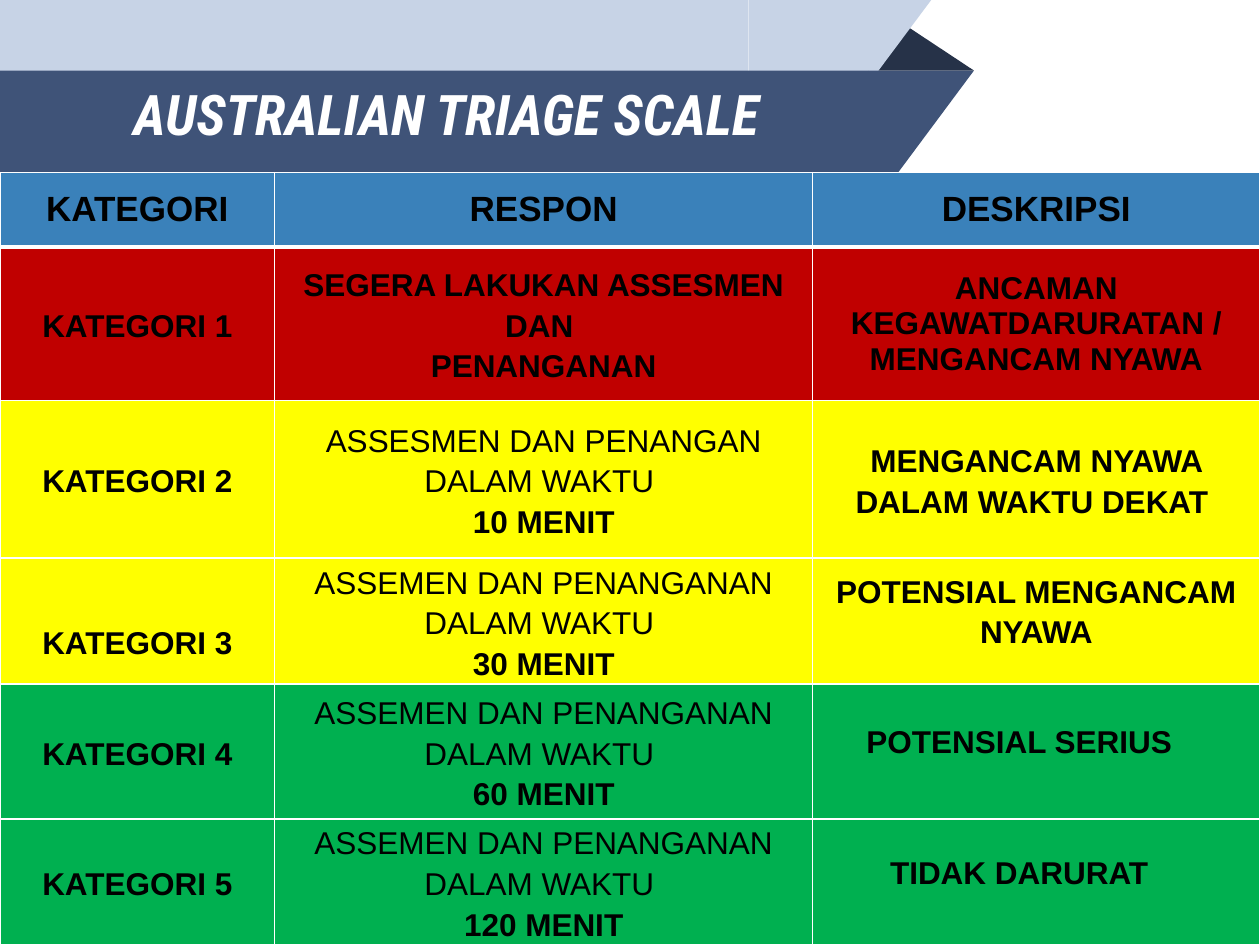
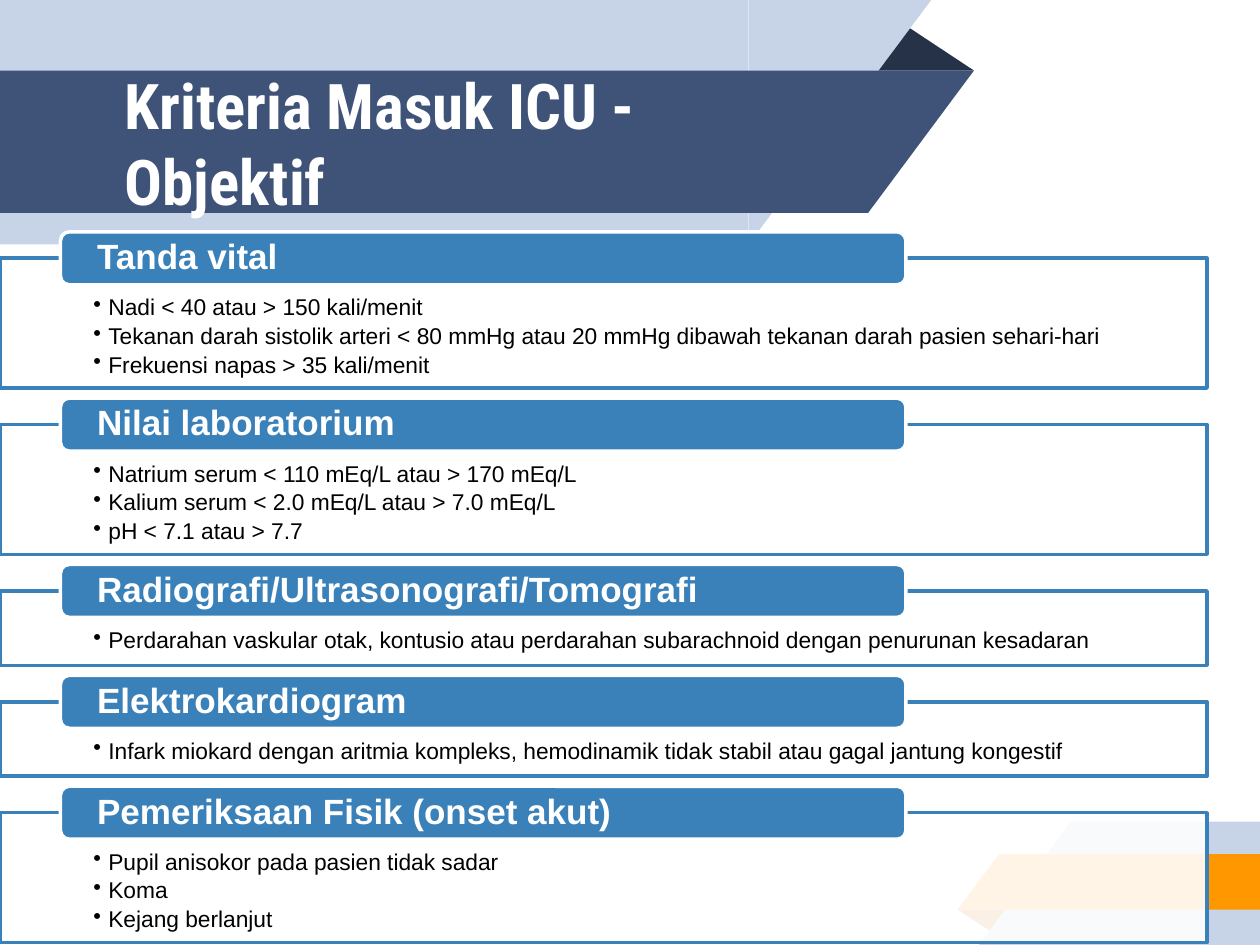
from pptx import Presentation
from pptx.dml.color import RGBColor
from pptx.enum.shapes import MSO_SHAPE
from pptx.enum.text import MSO_ANCHOR, MSO_AUTO_SIZE, PP_ALIGN
from pptx.oxml import parse_xml
from pptx.oxml.ns import nsdecls, qn
from pptx.util import Pt

PX = 9144  # EMU per px, 100 px to the inch

WHITE = RGBColor(0xFF, 0xFF, 0xFF)
BLACK = RGBColor(0x00, 0x00, 0x00)
PALE = RGBColor(0xC7, 0xD3, 0xE6)
NAVY = RGBColor(0x3F, 0x53, 0x78)
MIDNIGHT = RGBColor(0x26, 0x32, 0x48)
ORANGE = RGBColor(0xFF, 0x98, 0x00)
RUST = RGBColor(0xD2, 0x6F, 0x00)
BLUE = RGBColor(0x3A, 0x81, 0xBA)
RED = RGBColor(0xC0, 0x00, 0x00)
YELLOW = RGBColor(0xFF, 0xFF, 0x00)
GREEN = RGBColor(0x00, 0xB0, 0x50)

RECT, WEDGE = MSO_SHAPE.RECTANGLE, MSO_SHAPE.RIGHT_TRIANGLE
FOLD = MSO_SHAPE.ISOSCELES_TRIANGLE

# kind, box, colour, rotation, mirrored
BANDS = [
    (FOLD, (688, 18, 85, 38), MIDNIGHT, 0, False),
    (RECT, (0, 0, 594, 194), PALE, 180, True),
    (WEDGE, (594, 0, 145, 194), PALE, 180, True),
    (RECT, (0, 56, 689, 113), NAVY, 180, True),
    (WEDGE, (689, 56, 84, 113), NAVY, 180, True),
    (FOLD, (760, 722, 43, 19), RUST, 180, False),
    (RECT, (850, 652, 150, 98), PALE, 0, True),
    (WEDGE, (777, 652, 73, 98), PALE, 0, True),
    (RECT, (793, 678, 208, 44), ORANGE, 0, True),
    (WEDGE, (760, 678, 33, 44), ORANGE, 0, True),
]


def assign(target, formats):
    for attribute, value in formats.items():
        setattr(target, attribute, value)


def emu(*lengths):
    return [length * PX for length in lengths]


def margins(left, top, right, bottom):
    sides = ("margin_left", "margin_top", "margin_right", "margin_bottom")
    return dict(zip(sides, emu(left, top, right, bottom)))


class Deck:
    """Holds the presentation, its text styles and the slide being built."""

    styles = {
        "title": ({"name": "Roboto Condensed", "size": Pt(36), "bold": True}, WHITE),
        "header": ({"name": "Arial", "size": Pt(20), "bold": True}, BLACK),
        "cell": ({"name": "Arial", "size": Pt(18), "bold": True}, BLACK),
        "tab": ({"name": "Arial", "size": Pt(20), "bold": True}, WHITE),
        "item": ({"name": "Arial", "size": Pt(13), "bold": False}, BLACK),
    }

    def __init__(self):
        self.prs = Presentation()
        self.prs.slide_width, self.prs.slide_height = emu(1000, 750)
        self.slide = None

    def add_text(self, paragraph, text, style, paragraph_format=None, **font_changes):
        fonts, colour = self.styles[style]
        assign(paragraph, paragraph_format or {})
        run = paragraph.add_run()
        run.text = text
        assign(run.font, {**fonts, **font_changes})
        run.font.color.rgb = colour

    def paragraphs(self, frame, count):
        return [frame.paragraphs[0]] + [frame.add_paragraph() for _ in range(count - 1)]

    def shape(self, kind, box, fill, line=None):
        shape = self.slide.shapes.add_shape(kind, *emu(*box))
        shape.shadow.inherit = False
        shape.fill.solid()
        shape.fill.fore_color.rgb = fill
        if line is None:
            shape.line.fill.background()
        else:
            shape.line.color.rgb = line
            shape.line.width = Pt(2)
        return shape

    def new_slide(self, title, box, insets=(10, 10, 10, 10), align=PP_ALIGN.LEFT, **font_changes):
        self.slide = self.prs.slides.add_slide(self.prs.slide_layouts[5])
        for kind, place, colour, rotation, mirrored in BANDS:
            band = self.shape(kind, place, colour)
            band.rotation = rotation
            if kind == FOLD:
                band.adjustments[0] = 0.324
            if mirrored:
                band._element.spPr.find(qn("a:xfrm")).set("flipH", "1")
        heading = self.slide.shapes.title
        assign(heading, dict(zip(("left", "top", "width", "height"), emu(*box))))
        frame = heading.text_frame
        assign(frame, {"word_wrap": True, "auto_size": MSO_AUTO_SIZE.NONE,
                       "vertical_anchor": MSO_ANCHOR.MIDDLE, **margins(*insets)})
        self.add_text(frame.paragraphs[0], title, "title", {"alignment": align}, **font_changes)
        self.slide.shapes._spTree.append(heading._element)  # in front of the bands

    def table(self, box, widths, heights):
        table = self.slide.shapes.add_table(len(heights), len(widths), *emu(*box)).table
        table.horz_banding = False
        for column, width in zip(table.columns, emu(*widths)):
            column.width = width
        for row, height in zip(table.rows, emu(*heights)):
            row.height = height
        return table

    def cell(self, cell, lines, style, fill, spacing, insets, top=1, bottom=1):
        """Fill one cell; lines are (text, bold) pairs, top and bottom are border points."""
        properties = cell._tc.get_or_add_tcPr()
        for side, points in zip("LRTB", (1, 1, top, bottom)):
            properties.append(parse_xml(
                f'<a:ln{side} {nsdecls("a")} w="{Pt(points)}"><a:solidFill>'
                f'<a:srgbClr val="{WHITE}"/></a:solidFill></a:ln{side}>'))
        cell.fill.solid()
        cell.fill.fore_color.rgb = fill
        assign(cell, {"vertical_anchor": MSO_ANCHOR.MIDDLE, **margins(*insets)})
        for paragraph, (text, bold) in zip(self.paragraphs(cell.text_frame, len(lines)), lines):
            self.add_text(paragraph, text, style,
                          {"alignment": PP_ALIGN.CENTER, "line_spacing": spacing}, bold=bold)

    def panel(self, top, height, heading, items):
        """Draw an outlined list with its heading tab across the upper edge."""
        body = self.shape(RECT, (0, top, 958, height), WHITE, BLUE)
        colour = body._element.spPr.find(qn("a:solidFill"))[0]
        colour.append(parse_xml(f'<a:alpha {nsdecls("a")} val="90000"/>'))
        assign(body.text_frame, {"word_wrap": True, "vertical_anchor": MSO_ANCHOR.TOP,
                                 **margins(74, 30, 74, 10)})
        for paragraph, item in zip(self.paragraphs(body.text_frame, len(items)), items):
            properties = paragraph._p.get_or_add_pPr()
            properties.set("marL", str(12 * PX))
            properties.set("indent", str(-12 * PX))
            properties.append(parse_xml(
                f'<a:buClr {nsdecls("a")}><a:srgbClr val="{BLACK}"/></a:buClr>'))
            properties.append(parse_xml(f'<a:buChar {nsdecls("a")} char="•"/>'))
            self.add_text(paragraph, item, "item", {"alignment": PP_ALIGN.LEFT,
                                                    "line_spacing": 0.9, "space_after": Pt(2.4)})

        tab = self.shape(MSO_SHAPE.ROUNDED_RECTANGLE, (48, top - 21, 671, 42), BLUE, WHITE)
        assign(tab.text_frame, {"word_wrap": True, "vertical_anchor": MSO_ANCHOR.MIDDLE,
                                **margins(27, 0, 27, 0)})
        self.add_text(tab.text_frame.paragraphs[0], heading, "tab",
                      {"alignment": PP_ALIGN.LEFT, "line_spacing": 0.9})


def timed_response(verb, minutes):
    return [(f"{verb} DALAM WAKTU ", False), (f"{minutes} MENIT", True)]


def triage_slide(deck):
    deck.new_slide("AUSTRALIAN TRIAGE SCALE", (67, 25, 575, 112), (10, 28, 10, 10),
                   PP_ALIGN.CENTER, size=Pt(32), italic=True)
    scale = deck.table((0, 137, 1000, 613), (218, 427, 355), (59, 122, 125, 100, 107, 100))
    for column, label in enumerate(("KATEGORI", "RESPON", "DESKRIPSI")):
        deck.cell(scale.cell(0, column), [(label, True)], "header", BLUE, 1.0,
                  (10, 5, 10, 5), bottom=3)

    plain, lowered = (7, 0, 7, 0), (7, 32, 7, 0)
    raised, raised_left = (7, 0, 7, 18), (7, 0, 34, 18)
    # colour, response, description, category insets, description insets
    categories = [
        (RED, [("SEGERA LAKUKAN ASSESMEN DAN ", True), ("PENANGANAN", True)],
         "ANCAMAN KEGAWATDARURATAN / MENGANCAM NYAWA", plain, plain),
        (YELLOW, timed_response("ASSESMEN DAN PENANGAN", 10),
         "MENGANCAM NYAWA DALAM WAKTU DEKAT ", plain, plain),
        (YELLOW, timed_response("ASSEMEN DAN PENANGANAN", 30),
         "POTENSIAL MENGANCAM NYAWA", lowered, raised),
        (GREEN, timed_response("ASSEMEN DAN PENANGANAN", 60),
         "POTENSIAL SERIUS", plain, raised_left),
        (GREEN, timed_response("ASSEMEN DAN PENANGANAN", 120),
         "TIDAK DARURAT", plain, raised_left),
    ]
    for level, (colour, response, description, label_insets, text_insets) in enumerate(categories, 1):
        top = 3 if level == 1 else 1
        description_spacing = 1.0 if level == 1 else 1.15
        row = [([(f"KATEGORI {level}", True)], 1.15, label_insets),
               (response, 1.15, plain),
               ([(description, True)], description_spacing, text_insets)]
        for column, (lines, spacing, insets) in enumerate(row):
            deck.cell(scale.cell(level, column), lines, "cell", colour, spacing, insets, top=top)


def icu_slide(deck):
    deck.new_slide("Kriteria Masuk ICU - Objektif", (89, 57, 575, 112))
    criteria = {
        "Tanda vital": [
            "Nadi < 40 atau > 150 kali/menit",
            "Tekanan darah sistolik arteri < 80 mmHg atau 20 mmHg dibawah tekanan darah "
            "pasien sehari-hari",
            "Frekuensi napas > 35 kali/menit"],
        "Nilai laboratorium": [
            "Natrium serum < 110 mEq/L atau > 170 mEq/L",
            "Kalium serum < 2.0 mEq/L atau > 7.0 mEq/L",
            "pH < 7.1 atau > 7.7"],
        "Radiografi/Ultrasonografi/Tomografi": [
            "Perdarahan vaskular otak, kontusio atau perdarahan subarachnoid dengan "
            "penurunan kesadaran"],
        "Elektrokardiogram": [
            "Infark miokard dengan aritmia kompleks, hemodinamik tidak stabil atau gagal "
            "jantung kongestif"],
        "Pemeriksaan Fisik (onset akut)": [
            "Pupil anisokor pada pasien tidak sadar", "Koma", "Kejang berlanjut"],
    }
    top, gap = 205, 29
    for heading, items in criteria.items():
        height = 37 + 22 * len(items)
        deck.panel(top, height, heading, items)
        top += height + gap


def main():
    deck = Deck()
    triage_slide(deck)
    icu_slide(deck)
    deck.prs.save("out.pptx")


if __name__ == "__main__":
    main()
